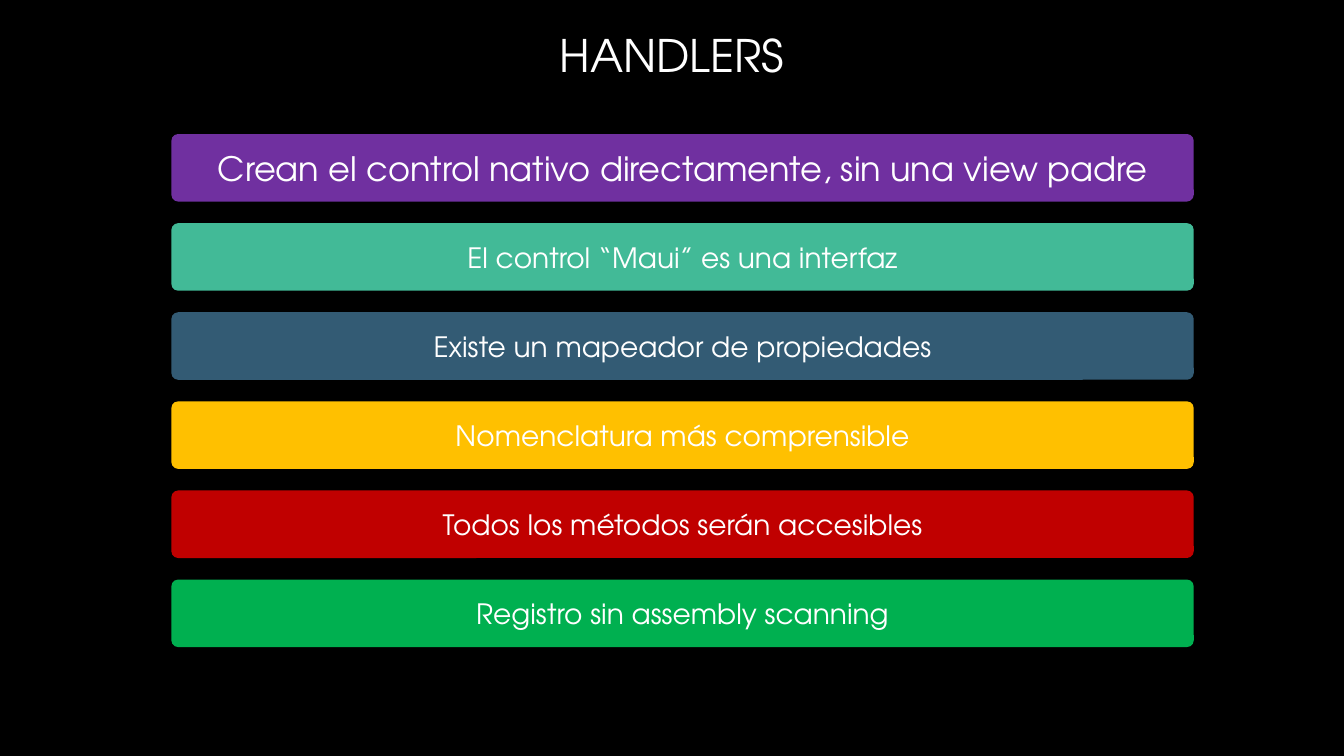
from dataclasses import dataclass

from pptx import Presentation
from pptx import util as u
from pptx.dml.color import RGBColor
from pptx.enum import shapes, text


@dataclass(frozen=True)
class Theme:
    font: str = "TeX Gyre Adventor"
    back: str = "000000"
    ink: str = "FFFFFF"
    fade: str = "A6A6A6"
    head: int = 32
    lead: int = 24
    body: int = 20
    bars: tuple = ("7030A0", "42BA97", "335B74", "FFC000", "C00000", "00B050")


THEME = Theme()
POINTS = (
    "Crean el control nativo directamente, sin una view padre",
    "El control “Maui” es una interfaz",
    "Existe un mapeador de propiedades",
    "Nomenclatura más comprensible",
    "Todos los métodos serán accesibles",
    "Registro sin assembly scanning",
)
# Bar column: left edge, first and last top, width, height
LEFT, TOP, LAST, WIDE, HIGH = 1.7, 1.33, 5.75, 10.14, 0.67


def paint(fill, color):
    fill.solid()
    fill.fore_color.rgb = RGBColor.from_string(color)


def write(shape, words, size):
    """Set centred text and return its font."""
    frame = shape.text_frame
    frame.text = words
    frame.word_wrap = True
    frame.vertical_anchor = text.MSO_ANCHOR.MIDDLE
    para = frame.paragraphs[0]
    para.alignment = text.PP_ALIGN.CENTER
    font = para.runs[0].font
    font.name, font.size = THEME.font, u.Pt(size)
    paint(font.fill, THEME.ink)
    return font


def add_title(slide, words):
    title = slide.shapes.title
    title.left, title.top = u.Inches(0), u.Inches(0)
    title.width, title.height = u.Inches(13.33), u.Inches(1.09)
    fill = write(title, words, THEME.head).fill
    # White fading to grey, downwards
    fill.gradient()
    fill.gradient_angle = 267
    for stop, color in zip(fill.gradient_stops, (THEME.ink, THEME.fade)):
        stop.color.rgb = RGBColor.from_string(color)


def add_bar(slide, top, words, color, size):
    bar = slide.shapes.add_shape(
        shapes.MSO_SHAPE.ROUNDED_RECTANGLE,
        u.Inches(LEFT), u.Inches(top), u.Inches(WIDE), u.Inches(HIGH))
    bar.adjustments[0] = 0.1
    bar.shadow.inherit = False
    bar.line.fill.background()
    paint(bar.fill, color)
    write(bar, words, size)


def main():
    deck = Presentation()
    deck.slide_width, deck.slide_height = u.Inches(13.33), u.Inches(7.5)
    slide = deck.slides.add_slide(deck.slide_layouts[5])
    paint(slide.background.fill, THEME.back)
    add_title(slide, "HANDLERS")

    # Evenly spaced bars; the first one has larger type
    step = (LAST - TOP) / (len(POINTS) - 1)
    for i, (words, color) in enumerate(zip(POINTS, THEME.bars)):
        size = THEME.body if i else THEME.lead
        add_bar(slide, TOP + i * step, words, color, size)

    deck.save("out.pptx")


if __name__ == "__main__":
    main()
